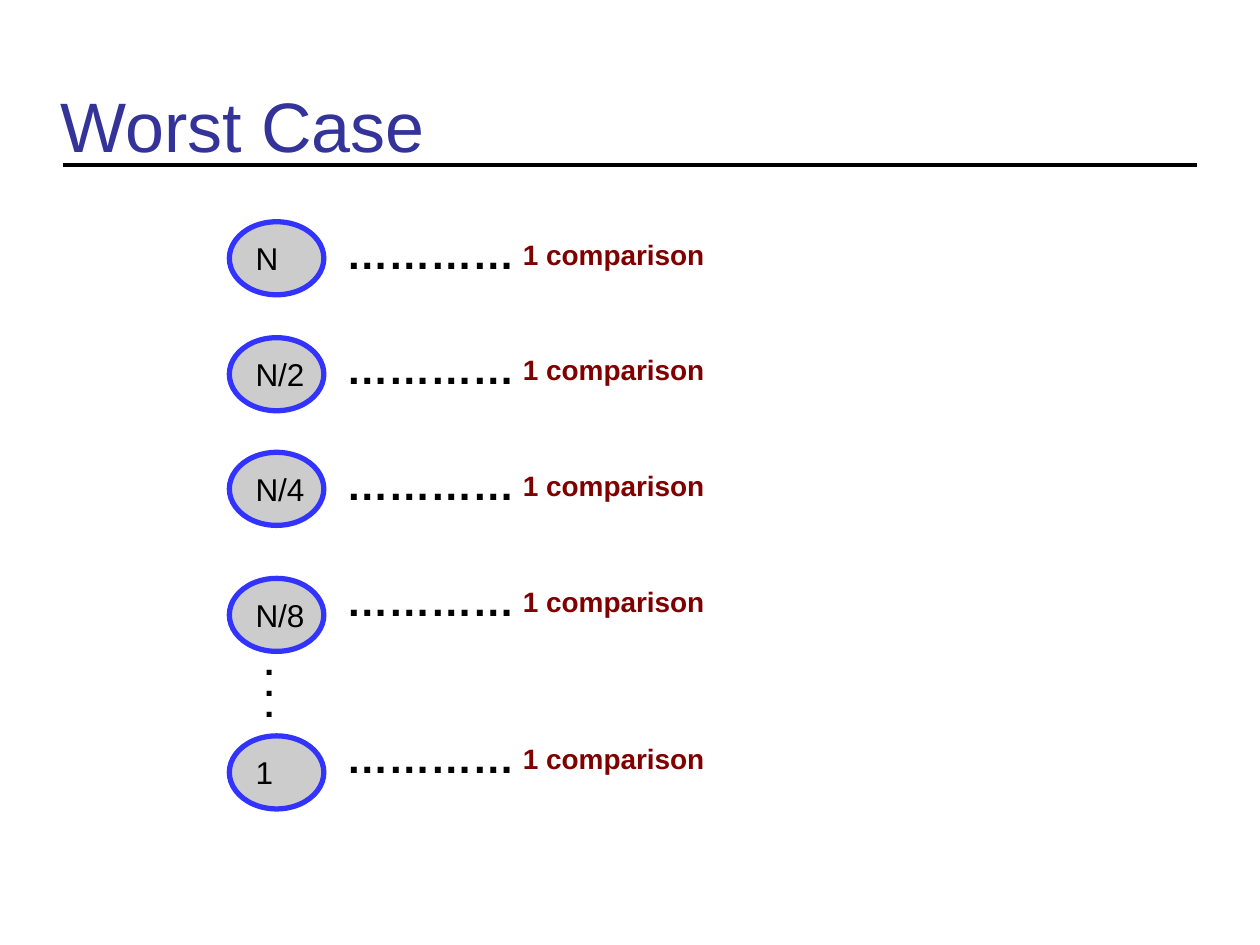
from pptx import Presentation
from pptx.dml.color import RGBColor
from pptx.enum.shapes import MSO_CONNECTOR, MSO_SHAPE
from pptx.enum.text import MSO_ANCHOR, MSO_AUTO_SIZE, PP_ALIGN
from pptx.oxml.ns import qn
from pptx.util import Inches, Pt
from lxml.etree import SubElement

# Content: problem size, top of its ellipse, top of its comparison label
TITLE = "Worst Case"
LEADER = "…………"
COMPARISON = " 1 comparison"
STEPS = [
    ("N", 1.76, 1.84),
    ("N/2", 2.68, 2.75),
    ("N/4", 3.59, 3.67),
    ("N/8", 4.59, 4.59),
    ("1", 5.84, 5.84),
]
CONTINUATION = [".", ".", "."]

# Formats
FONT = "Arial"
TITLE_FORMAT = {"size": Pt(40), "bold": False, "color": "333399"}
SIZE_FORMAT = {"size": Pt(18), "bold": False, "color": "000000"}
LEADER_FORMAT = {"size": Pt(24), "bold": True, "color": "000000"}
COMPARISON_FORMAT = {"size": Pt(16), "bold": True, "color": "800000"}
CONTINUATION_FORMAT = {"size": Pt(20), "bold": True, "color": "000000"}
GROWING_LINE = {"word_wrap": False, "auto_size": MSO_AUTO_SIZE.SHAPE_TO_FIT_TEXT}
GROWING_BLOCK = {"word_wrap": True, "auto_size": MSO_AUTO_SIZE.SHAPE_TO_FIT_TEXT}
TITLE_FRAME = {
    "word_wrap": True, "vertical_anchor": MSO_ANCHOR.BOTTOM, "margin_left": 0,
    "margin_top": Inches(0.05), "margin_right": 0, "margin_bottom": 0,
}
SIZE_FRAME = {"word_wrap": False, "vertical_anchor": MSO_ANCHOR.MIDDLE}


def rgb(value):
    return RGBColor.from_string(value)


def write(shape, lines, text_format, frame_format, line_spacing=None):
    frame = shape.text_frame
    for name, value in frame_format.items():
        setattr(frame, name, value)
    for index, line in enumerate(lines):
        paragraph = frame.paragraphs[0] if index == 0 else frame.add_paragraph()
        paragraph.alignment = PP_ALIGN.LEFT
        paragraph.line_spacing = line_spacing
        run = paragraph.add_run()
        run.text = line
        run.font.name = FONT
        for name, value in text_format.items():
            if name == "color":
                run.font.color.rgb = rgb(value)
            else:
                setattr(run.font, name, value)


def add_text(slide, box, lines, text_format, frame_format, line_spacing=None):
    shape = slide.shapes.add_textbox(*map(Inches, box))
    write(shape, lines, text_format, frame_format, line_spacing)


def add_size_ellipse(slide, top, label):
    ellipse = slide.shapes.add_shape(
        MSO_SHAPE.OVAL, *map(Inches, (1.82, top, 0.75, 0.58)))
    ellipse.shadow.inherit = False
    ellipse.fill.solid()
    ellipse.fill.fore_color.rgb = rgb("CCCCCC")
    ellipse.line.color.rgb = rgb("3333FF")
    ellipse.line.width = Pt(3)
    write(ellipse, [label], SIZE_FORMAT, SIZE_FRAME)


def main():
    presentation = Presentation()
    presentation.slide_width = Inches(10)
    presentation.slide_height = Inches(7.5)
    slide = presentation.slides.add_slide(presentation.slide_layouts[6])

    # Title and its rule
    rule = slide.shapes.add_connector(
        MSO_CONNECTOR.STRAIGHT, *map(Inches, (0.5, 1.31, 9.5, 1.31)))
    rule.line.color.rgb = rgb("000000")
    rule.line.width = Pt(2)
    SubElement(rule.element.spPr, qn("a:effectLst"))
    add_text(slide, (0.48, 0.55, 9, 0.77), [TITLE], TITLE_FORMAT, TITLE_FRAME)

    # One row for each halving step
    for label, ellipse_top, comparison_top in STEPS:
        add_size_ellipse(slide, ellipse_top, label)
        add_text(slide, (2.65, comparison_top - 0.08, 1.55, 0.51),
                 [LEADER], LEADER_FORMAT, GROWING_LINE)
        add_text(slide, (3.99, comparison_top, 1.72, 0.37),
                 [COMPARISON], COMPARISON_FORMAT, GROWING_LINE)

    # Vertical dots between N/8 and 1
    add_text(slide, (2, 5.18, 0.42, 0.63), CONTINUATION,
             CONTINUATION_FORMAT, GROWING_BLOCK, line_spacing=0.5)

    presentation.save("out.pptx")


if __name__ == "__main__":
    main()
